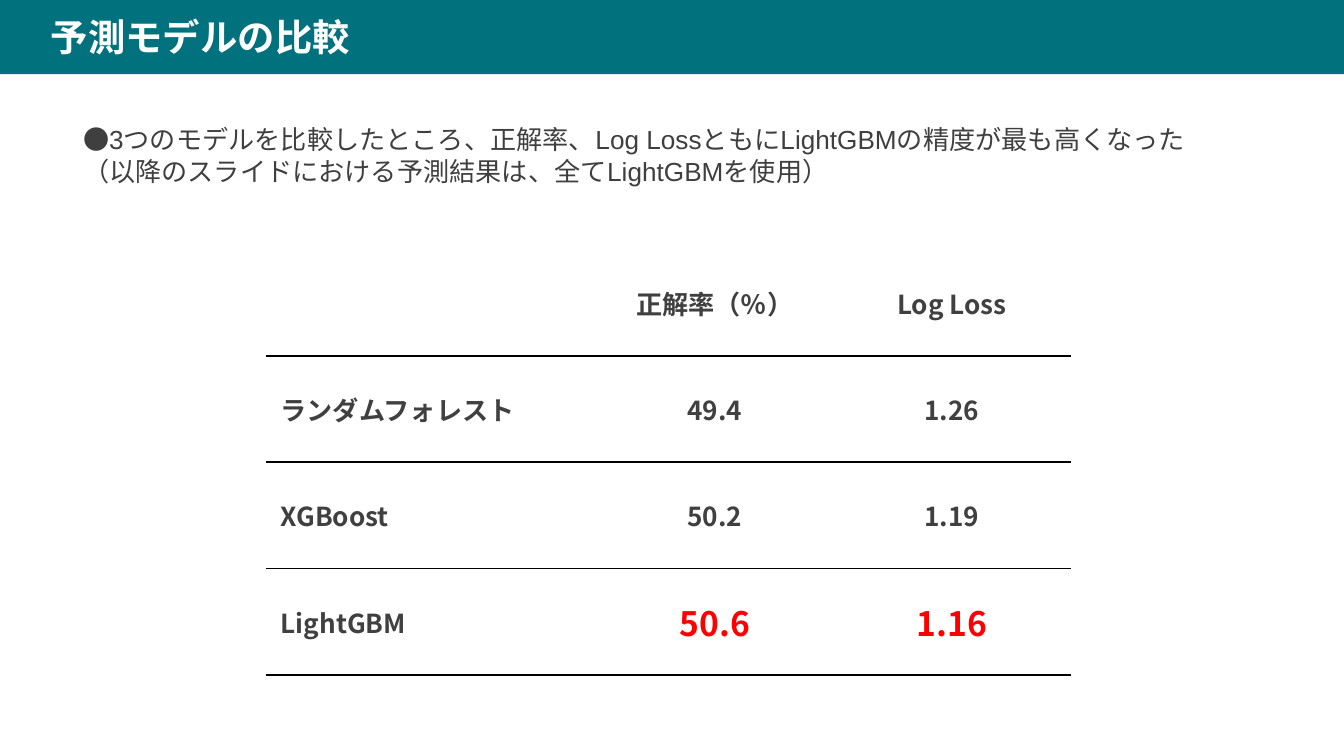
from dataclasses import dataclass
from typing import NamedTuple

from lxml.etree import SubElement as Sub, Element as Elem
from pptx import Presentation as Deck
from pptx.dml.color import RGBColor as Rgb
from pptx.enum.text import MSO_ANCHOR as Anchor, MSO_AUTO_SIZE as Fit, PP_ALIGN as Align
from pptx.oxml.ns import qn
from pptx.util import Cm, Pt


@dataclass(frozen=True)
class Theme:
    teal: str = "00717D"
    white: str = "FFFFFF"
    black: str = "000000"
    gray: str = "404040"
    dark: str = "3F3F3F"
    red: str = "FF0000"
    sans: str = "Noto Sans CJK JP"
    latin: str = "Arial"
    head: int = 20
    body: int = 14
    big: int = 18


class Row(NamedTuple):
    name: str
    rate: str
    loss: str
    best: bool = False


look = Theme()
rows = [
    Row("", "正解率（％）", "Log Loss"),
    Row("ランダムフォレスト", "49.4", "1.26"),
    Row("XGBoost", "50.2", "1.19"),
    Row("LightGBM", "50.6", "1.16", best=True),
]


def write(para, text: str, *, size: int = look.body, color: str = look.gray,
          font: str = look.sans, bold: bool = False, align=Align.LEFT) -> None:
    para.alignment = align
    run = para.add_run()
    run.text = text
    run.font.size = Pt(size)
    run.font.bold = bold
    run.font.name = font
    run.font.color.rgb = Rgb.from_string(color)
    Sub(run.font._element, qn("a:ea"), typeface=font)


def edge(cell, top: str, base: str) -> None:
    props = cell._tc.get_or_add_tcPr()
    sides = {"L": look.white, "R": look.white, "T": top, "B": base}
    for spot, (side, color) in enumerate(sides.items()):
        line = Elem(qn(f"a:ln{side}"), w=str(Pt(1)))
        fill = Sub(line, qn("a:solidFill"))
        Sub(fill, qn("a:srgbClr"), val=color)
        props.insert(spot, line)


def draw_title(slide) -> None:
    bar = slide.shapes.title
    bar.left, bar.top, bar.width, bar.height = Cm(0), Cm(0), Cm(25.4), Cm(1.4)
    bar.fill.solid()
    bar.fill.fore_color.rgb = Rgb.from_string(look.teal)
    frame = bar.text_frame
    frame.auto_size = Fit.NONE
    frame.vertical_anchor = Anchor.MIDDLE
    frame.margin_left = Cm(0.96)
    write(frame.paragraphs[0], "予測モデルの比較", size=look.head,
          color=look.white, bold=True)


def draw_table(slide, data: list[Row]) -> None:
    frame = slide.shapes.add_table(len(data), 3, Cm(5.05), Cm(4.72), Cm(15.2), Cm(8.05))
    table = frame.table
    table.first_row = table.horz_banding = False
    for col, width in zip(table.columns, (6.22, 4.48, 4.48)):
        col.width = Cm(width)
    for r, row in enumerate(data):
        table.rows[r].height = Cm(2.01)
        for c, text in enumerate((row.name, row.rate, row.loss)):
            cell = table.cell(r, c)
            cell.fill.background()
            cell.vertical_anchor = Anchor.MIDDLE
            edge(cell, look.black if r else look.white, look.black)
            if text:
                star = row.best and c > 0
                write(cell.text_frame.paragraphs[0], text, bold=True,
                      size=look.big if star else look.body,
                      color=look.red if star else look.gray,
                      align=Align.CENTER if c else Align.LEFT)


def draw_note(slide) -> None:
    box = slide.shapes.add_textbox(Cm(1.32), Cm(1.78), Cm(22.91), Cm(2.31))
    frame = box.text_frame
    frame.word_wrap = True
    frame.vertical_anchor = Anchor.MIDDLE
    frame.margin_top = frame.margin_bottom = Cm(0.25)
    first = frame.paragraphs[0]
    write(first, "●", color=look.dark)
    write(first, "3つのモデルを比較したところ、正解率、Log LossともにLightGBMの精度が最も高くなった",
          color=look.dark, font=look.latin)
    write(frame.add_paragraph(), "（以降のスライドにおける予測結果は、全てLightGBMを使用）",
          color=look.dark, font=look.latin)


def main() -> None:
    deck = Deck()
    deck.slide_width, deck.slide_height = Cm(25.4), Cm(14.29)
    slide = deck.slides.add_slide(deck.slide_layouts[5])
    draw_title(slide)
    draw_table(slide, rows)
    draw_note(slide)
    deck.save("out.pptx")


if __name__ == "__main__":
    main()
